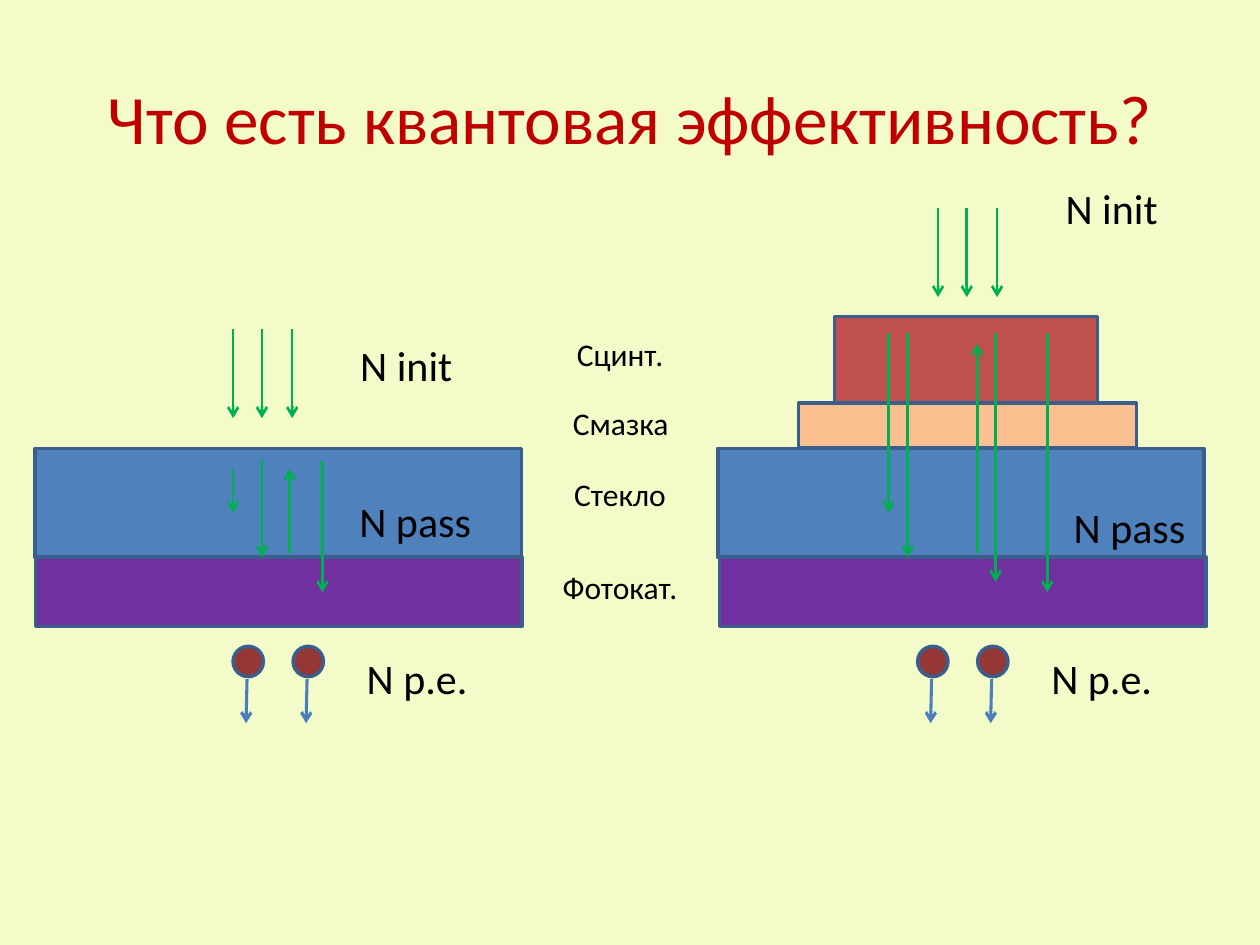
from lxml.etree import SubElement
from pptx import Presentation
from pptx.dml.color import RGBColor
from pptx.enum.shapes import MSO_CONNECTOR, MSO_SHAPE
from pptx.enum.text import MSO_ANCHOR, PP_ALIGN
from pptx.oxml.ns import qn
from pptx.util import Cm, Pt

COLORS = {
    "background": "F3FCC9", "title": "C00000", "text": "000000",
    "glass": "4F81BD", "photocathode": "7030A0", "scintillator": "C0504D",
    "grease": "FAC090", "outline": "3A5F8C", "light": "00B050",
    "electron": "953735", "drift": "4B7EBC",
}

# All lengths are in centimetres.
TITLE = "Что есть квантовая эффективность?"

LAYERS = [  # colour, left, top, width, height
    ("glass", 0.71, 9.04, 9.8, 2.2),
    ("photocathode", 0.72, 11.23, 9.8, 1.4),
    ("glass", 14.47, 9.04, 9.8, 2.2),
    ("photocathode", 14.51, 11.23, 9.8, 1.4),
    ("scintillator", 16.82, 6.38, 5.31, 1.76),
    ("grease", 16.1, 8.13, 6.81, 0.9),
]

INCOMING = [(4.7, 6.63), (18.91, 4.19)]  # left and top of each bundle
INCOMING_STEPS = [0, 0.58, 1.19]
INCOMING_LENGTH = 1.8

RAYS = [  # x, start y, end y
    (4.7, 9.45, 10.34), (5.28, 9.25, 11.23),
    (5.84, 11.15, 9.45), (6.5, 9.3, 11.94),
    (17.91, 6.71, 10.34), (18.3, 6.71, 11.23), (19.7, 11.15, 6.93),
    (20.07, 6.71, 11.73), (21.11, 6.71, 11.94),
]

ELECTRON_PAIRS = [4.7, 18.5]
ELECTRON_GAP = 1.21
ELECTRON_TOP, ELECTRON_SIZE = 13.03, 0.61

COUNTS = [  # text, left, top
    ("N init", 6.68, 6.71), ("N pass", 6.86, 9.86), ("N p.e.", 6.9, 13.03),
    ("N init", 20.9, 3.56), ("N pass", 21.26, 9.98), ("N p.e.", 20.7, 13.03),
]

LAYER_NAMES = [  # text, left, top, width, alignment
    ("Сцинт.", 11.1, 6.63, 2.8, PP_ALIGN.CENTER),
    ("Смазка", 11.3, 8.03, 2.8, PP_ALIGN.LEFT),
    ("Стекло", 11.1, 9.45, 2.8, PP_ALIGN.CENTER),
    ("Фотокат.", 10.9, 11.33, 3.2, PP_ALIGN.CENTER),
]


def color(name):
    return RGBColor.from_string(COLORS[name])


def add_text(page, text, left, top, width, height, *, size, tint="text",
             align=PP_ALIGN.CENTER, anchor=MSO_ANCHOR.TOP):
    box = page.shapes.add_textbox(Cm(left), Cm(top), Cm(width), Cm(height))
    frame = box.text_frame
    frame.word_wrap = True
    frame.vertical_anchor = anchor
    para = frame.paragraphs[0]
    para.alignment = align
    span = para.add_run()
    span.text = text
    span.font.name = "Calibri"
    span.font.size = Pt(size)
    span.font.color.rgb = color(tint)


def add_outlined(page, kind, fill, left, top, width, height):
    shape = page.shapes.add_shape(kind, Cm(left), Cm(top), Cm(width), Cm(height))
    shape.shadow.inherit = False
    shape.fill.solid()
    shape.fill.fore_color.rgb = color(fill)
    shape.line.color.rgb = color("outline")
    shape.line.width = Pt(2)


def add_arrow(page, start, end, tint="light", weight=1.5):
    arrow = page.shapes.add_connector(
        MSO_CONNECTOR.STRAIGHT, *(Cm(value) for value in (*start, *end)))
    arrow.line.color.rgb = color(tint)
    arrow.line.width = Pt(weight)
    SubElement(arrow.line._get_or_add_ln(), qn("a:tailEnd"), type="arrow")
    SubElement(arrow._element.spPr, qn("a:effectLst"))


def add_electron(page, left):
    """Draw an emitted electron and the arrow of its drift."""
    add_outlined(page, MSO_SHAPE.OVAL, "electron", left, ELECTRON_TOP,
                 ELECTRON_SIZE, ELECTRON_SIZE)
    bottom = ELECTRON_TOP + ELECTRON_SIZE
    add_arrow(page, (left + 0.28, bottom + 0.05), (left + 0.26, bottom + 0.94),
              "drift", 1.75)


def main():
    deck = Presentation()
    deck.slide_width, deck.slide_height = Cm(25.4), Cm(19.05)
    page = deck.slides.add_slide(deck.slide_layouts[6])
    page.background.fill.solid()
    page.background.fill.fore_color.rgb = color("background")

    add_text(page, TITLE, 1.27, 0.76, 22.86, 3.18, size=39.6, tint="title",
             anchor=MSO_ANCHOR.MIDDLE)
    for fill, *place in LAYERS:
        add_outlined(page, MSO_SHAPE.RECTANGLE, fill, *place)
    for left, top in INCOMING:
        for step in INCOMING_STEPS:
            add_arrow(page, (left + step, top), (left + step, top + INCOMING_LENGTH))
    for x, start, end in RAYS:
        add_arrow(page, (x, start), (x, end))
    for left in ELECTRON_PAIRS:
        for index in range(2):
            add_electron(page, left + index * ELECTRON_GAP)
    for text, left, top in COUNTS:
        add_text(page, text, left, top, 3.02, 1.27, size=24)
    for text, left, top, width, align in LAYER_NAMES:
        add_text(page, text, left, top, width, 1.03, size=18, align=align)

    deck.save("out.pptx")


if __name__ == "__main__":
    main()
